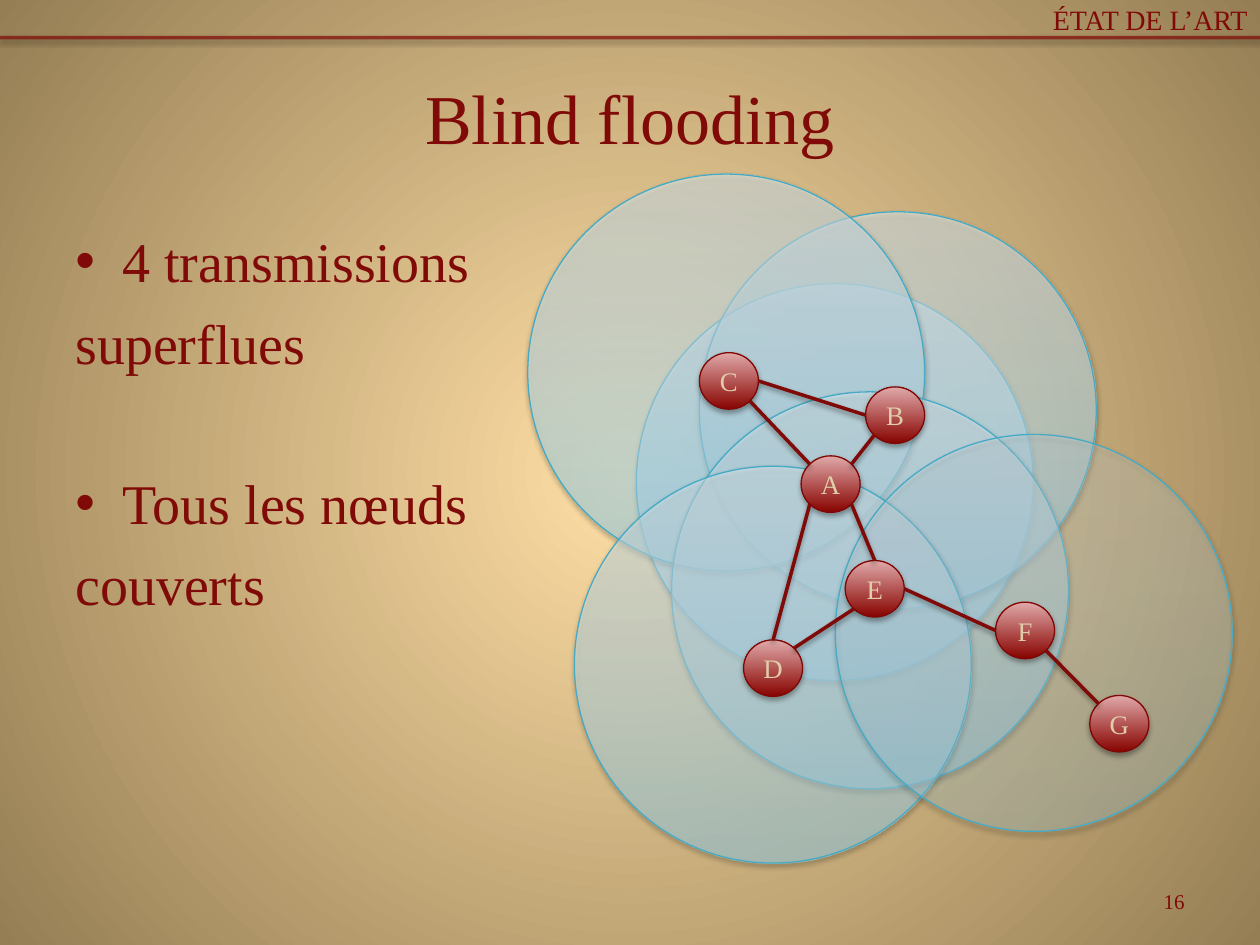
"""Build the slide on blind flooding: coverage discs, network nodes and links."""
from dataclasses import dataclass
from math import sqrt
from typing import Any

from pptx import Presentation, oxml
from pptx import util as u
from pptx.dml.color import RGBColor
from pptx.enum import shapes, text
from pptx.oxml import ns

DARK_RED = RGBColor(0x80, 0x0A, 0x07)
NODE_EDGE = RGBColor(0x80, 0x07, 0x04)
NODE_TEXT = RGBColor(0xE0, 0xCD, 0xA9)
DISC_EDGE = RGBColor(0x46, 0xAA, 0xC5)
SAND, BROWN = RGBColor(0xFF, 0xDF, 0xA6), RGBColor(0x95, 0x7E, 0x54)
NODE_STOPS = {0: RGBColor(0x87, 0x03, 0x00), 100: RGBColor(0xE0, 0xA9, 0xA9)}
DISC_STOPS = {0: RGBColor(0xA7, 0xE6, 0xFF), 35: RGBColor(0xC1, 0xED, 0xFF),
              100: RGBColor(0xE7, 0xF8, 0xFF)}
FONT = "Times New Roman"
UPWARD = '<a:lin ang="16200000" scaled="0"/>'
RADIAL = '<a:path path="circle"><a:fillToRect l="50000" t="50000" r="50000" b="50000"/></a:path>'
DISC_SIZE = 8.0
NODE_WIDTH, NODE_HEIGHT = 1.19, 1.14
DIAGONAL = sqrt(0.5)
SITES = {"top": (0, -1), "left": (-1, 0), "right": (1, 0),
         "top left": (-DIAGONAL, -DIAGONAL), "top right": (DIAGONAL, -DIAGONAL),
         "bottom left": (-DIAGONAL, DIAGONAL), "bottom right": (DIAGONAL, DIAGONAL)}


@dataclass(frozen=True)
class Disc:
    left: float
    top: float
    opacity: int


@dataclass(frozen=True)
class Node:
    left: float
    top: float

    def site(self, name: str) -> tuple[u.Length, u.Length]:
        across, down = SITES[name]
        return (u.Cm(self.left + NODE_WIDTH / 2 * (1 + across)),
                u.Cm(self.top + NODE_HEIGHT / 2 * (1 + down)))


@dataclass(frozen=True)
class Link:
    start: str
    start_site: str
    end: str
    end_site: str


@dataclass(frozen=True)
class Line:
    wording: str
    bullet: bool = False
    space_before: float = 8


@dataclass(frozen=True)
class Label:
    box: tuple[float, float, float, float]
    size: float
    align: text.PP_ALIGN
    lines: tuple[Line, ...]
    anchor: text.MSO_ANCHOR = text.MSO_ANCHOR.MIDDLE


DISCS = (Disc(12.83, 5.72, 66), Disc(14.1, 4.27, 51), Disc(10.64, 3.51, 51),
         Disc(13.54, 7.9, 48), Disc(11.58, 9.4, 48), Disc(16.84, 8.76, 24))
NODES = {"A": Node(16.15, 9.19), "B": Node(17.45, 7.8), "C": Node(14.1, 7.11),
         "D": Node(14.99, 12.9), "E": Node(17.04, 11.3), "F": Node(20.07, 12.14),
         "G": Node(21.97, 14.02)}
LINKS = (Link("C", "bottom right", "A", "top left"), Link("A", "top right", "B", "bottom left"),
         Link("A", "bottom right", "E", "top"), Link("A", "bottom left", "D", "top"),
         Link("D", "top right", "E", "bottom left"), Link("E", "right", "F", "left"),
         Link("B", "left", "C", "right"), Link("F", "bottom right", "G", "top left"))
LABELS = (
    Label((1.27, 0.76, 22.86, 3.18), 40, text.PP_ALIGN.CENTER, (Line("Blind flooding", space_before=0),)),
    Label((18.21, 17.65, 5.92, 1.02), 12, text.PP_ALIGN.RIGHT, (Line("16", space_before=0),)),
    Label((0, 0, 25.4, 0.76), 16, text.PP_ALIGN.RIGHT, (Line("ÉTAT DE L’ART", space_before=0),)),
    Label((1.27, 4.45, 22.86, 12.57), 32, text.PP_ALIGN.LEFT,
          (Line("4 transmissions", True), Line("superflues"),
           Line("Tous les nœuds", True, 53), Line("couverts")), text.MSO_ANCHOR.TOP),
)


def apply_format(target: Any, values: dict[str, Any]) -> None:
    for name, value in values.items():
        setattr(target, name, value)


def set_gradient(parent: Any, stops: dict[int, RGBColor], direction: str, opacity: int = 100) -> None:
    gradient = next(parent.iter(ns.qn("a:gradFill")))
    colours = "".join(
        f'<a:gs pos="{position * 1000}"><a:srgbClr val="{colour}">'
        f'<a:alpha val="{opacity * 1000}"/></a:srgbClr></a:gs>'
        for position, colour in stops.items())
    gradient.getparent().replace(gradient, oxml.parse_xml(
        f'<a:gradFill {ns.nsdecls("a")} rotWithShape="1"><a:gsLst>{colours}</a:gsLst>{direction}</a:gradFill>'))


def add_shadow(shape: Any, opacity: int = 38, distance: float = 1.6) -> None:
    shape._element.spPr.append(oxml.parse_xml(
        f'<a:effectLst {ns.nsdecls("a")}><a:outerShdw blurRad="{u.Pt(3.1)}" dist="{u.Pt(distance)}" '
        f'dir="5400000" rotWithShape="0"><a:srgbClr val="000000"><a:alpha val="{opacity * 1000}"/>'
        '</a:srgbClr></a:outerShdw></a:effectLst>'))


def add_ellipse(slide: Any, box: tuple[float, ...], stops: dict[int, RGBColor],
                edge: RGBColor, opacity: int = 100) -> Any:
    shape = slide.shapes.add_shape(shapes.MSO_SHAPE.OVAL, *map(u.Cm, box))
    shape.fill.gradient()
    set_gradient(shape._element.spPr, stops, UPWARD, opacity)
    shape.line.color.rgb = edge
    shape.line.width = u.Pt(0.75)
    return shape


def add_line(slide: Any, start: tuple[u.Length, u.Length], end: tuple[u.Length, u.Length]) -> Any:
    connector = slide.shapes.add_connector(shapes.MSO_CONNECTOR.STRAIGHT, *start, *end)
    connector.line.color.rgb = DARK_RED
    connector.line.width = u.Pt(2)
    add_shadow(connector)
    return connector


def write(paragraph: Any, wording: str, size: float, colour: RGBColor) -> None:
    run = paragraph.add_run()
    run.text = wording
    apply_format(run.font, {"name": FONT, "size": u.Pt(size)})
    run.font.color.rgb = colour


def add_bullet(paragraph: Any) -> None:
    properties = paragraph._p.get_or_add_pPr()
    properties.set("marL", str(u.Cm(0.95)))
    properties.set("indent", str(u.Cm(-0.95)))
    for tag, name, value in (("buFont", "typeface", "Arial"), ("buChar", "char", "•")):
        properties.append(oxml.parse_xml(f'<a:{tag} {ns.nsdecls("a")} {name}="{value}"/>'))


def add_label(slide: Any, label: Label) -> None:
    frame = slide.shapes.add_textbox(*map(u.Cm, label.box)).text_frame
    apply_format(frame, {"word_wrap": True, "vertical_anchor": label.anchor})
    for index, line in enumerate(label.lines):
        paragraph = frame.add_paragraph() if index else frame.paragraphs[0]
        apply_format(paragraph, {"alignment": label.align, "space_before": u.Pt(line.space_before)})
        if line.bullet:
            add_bullet(paragraph)
        write(paragraph, line.wording, label.size, DARK_RED)


def add_disc(slide: Any, disc: Disc) -> None:
    box = (disc.left, disc.top, DISC_SIZE, DISC_SIZE)
    add_shadow(add_ellipse(slide, box, DISC_STOPS, DISC_EDGE, disc.opacity))


def add_node(slide: Any, name: str, node: Node) -> None:
    shape = add_ellipse(slide, (node.left, node.top, NODE_WIDTH, NODE_HEIGHT), NODE_STOPS, NODE_EDGE)
    add_shadow(shape, 35, 1.8)
    frame = shape.text_frame
    apply_format(frame, {"word_wrap": False, "vertical_anchor": text.MSO_ANCHOR.MIDDLE,
                         "margin_left": 0, "margin_right": 0, "margin_top": 0, "margin_bottom": 0})
    frame.paragraphs[0].alignment = text.PP_ALIGN.CENTER
    write(frame.paragraphs[0], name, 15.3, NODE_TEXT)


def main() -> None:
    presentation = Presentation()
    apply_format(presentation, {"slide_width": u.Cm(25.4), "slide_height": u.Cm(19.05)})
    slide = presentation.slides.add_slide(presentation.slide_layouts[6])
    slide.background.fill.gradient()
    set_gradient(slide._element, {0: SAND, 100: BROWN}, RADIAL)
    rule = add_line(slide, (u.Cm(0), u.Cm(0.76)), (u.Cm(25.4), u.Cm(0.76)))
    colour = next(rule.line._ln.iter(ns.qn("a:srgbClr")))
    colour.append(oxml.parse_xml(f'<a:alpha {ns.nsdecls("a")} val="70000"/>'))
    for disc in DISCS:
        add_disc(slide, disc)
    for name, node in NODES.items():
        add_node(slide, name, node)
    for link in LINKS:
        add_line(slide, NODES[link.start].site(link.start_site), NODES[link.end].site(link.end_site))
    for label in LABELS:
        add_label(slide, label)
    presentation.save("out.pptx")


if __name__ == "__main__":
    main()
